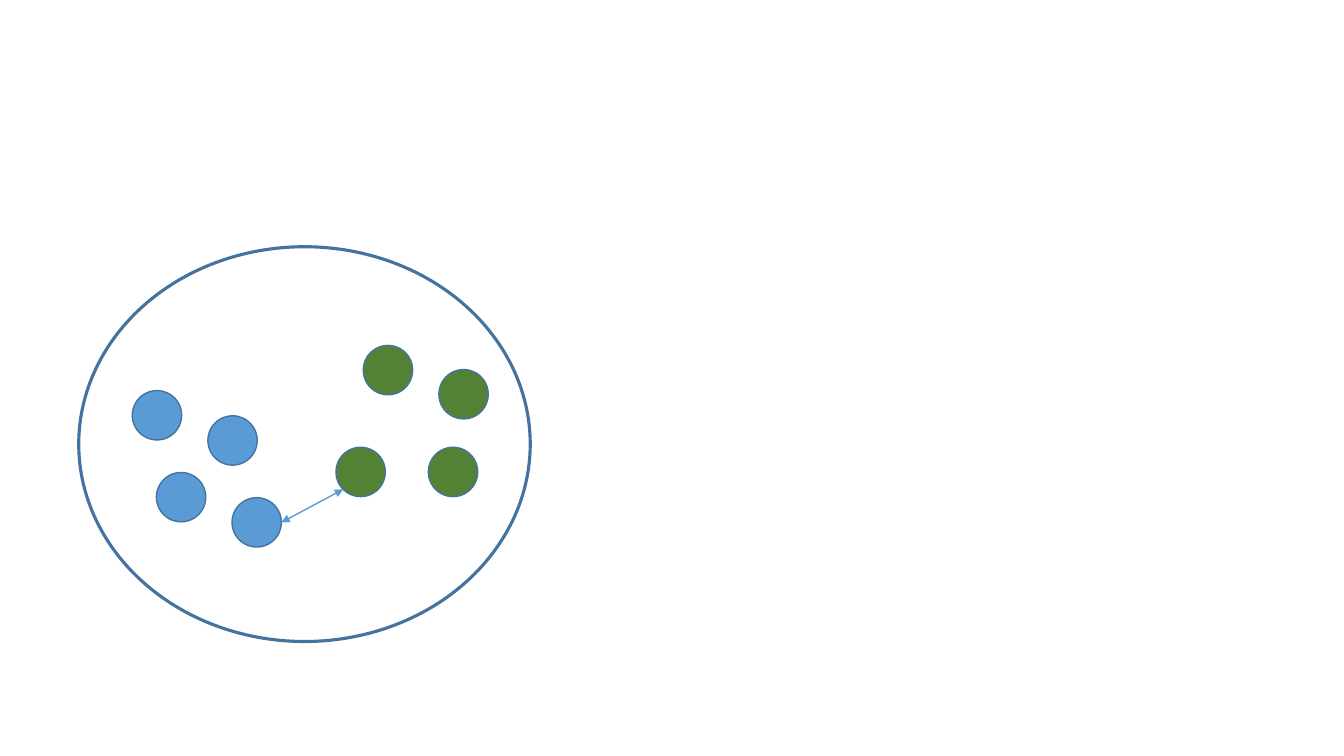
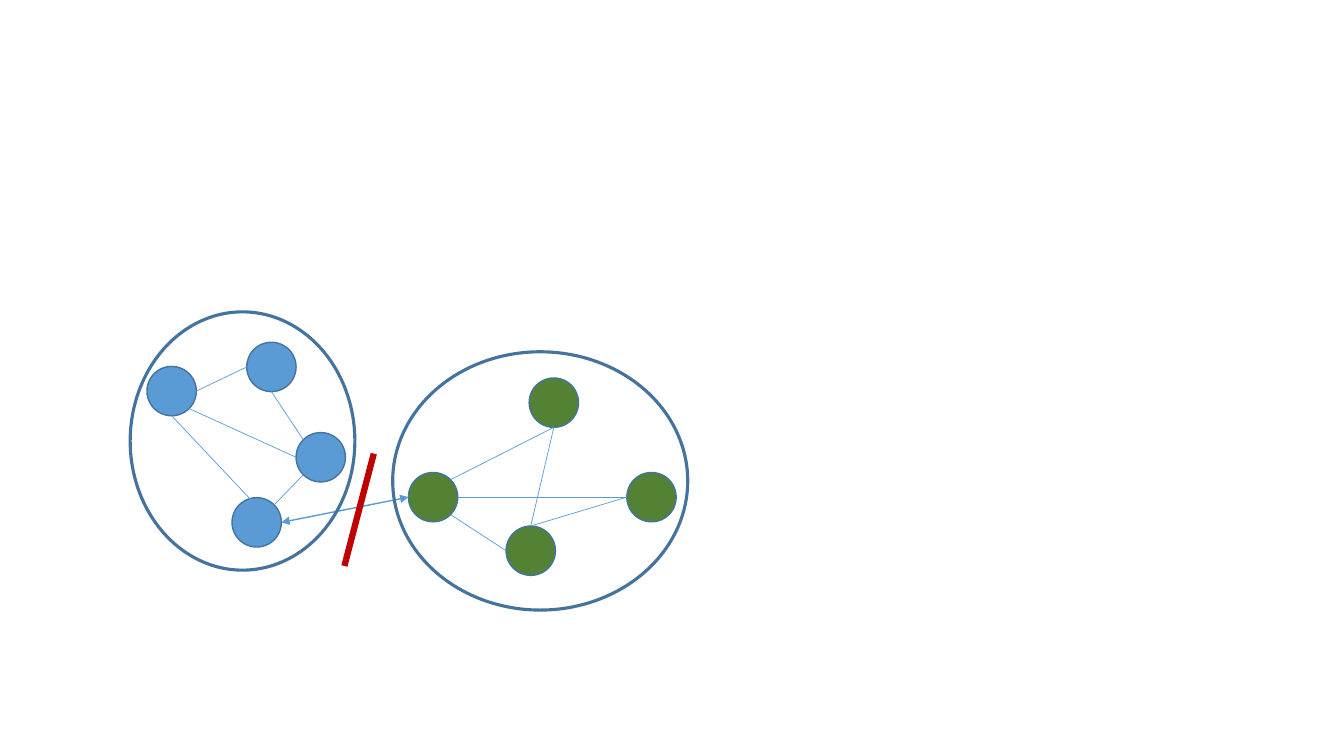
from dataclasses import dataclass
from math import cos, pi, sin

from lxml import etree
from pptx import Presentation
from pptx.dml.color import RGBColor
from pptx.enum.shapes import MSO_CONNECTOR, MSO_SHAPE
from pptx.oxml.ns import qn
from pptx.util import Pt

OVAL = MSO_SHAPE.OVAL
STRAIGHT = MSO_CONNECTOR.STRAIGHT
PX = 9525
SLIDE_W, SLIDE_H = 1280, 720
NODE = 47
BLANK = 6

SITES = ("top", "top left", "left", "bottom left",
         "bottom", "bottom right", "right", "top right")


@dataclass(frozen=True)
class Theme:
    blue: str = "5B9BD5"
    green: str = "548235"
    outline: str = "43739E"
    red: str = "C00000"
    thin: float = 0.5
    normal: float = 1
    ring: float = 2.25
    bar: float = 4.5


THEME = Theme()

SLIDES = [
    {
        "blue": [(126, 372), (198, 396), (149, 450), (221, 474)],
        "green": [(346, 329), (418, 352), (320, 426), (408, 426)],
        "arrow": (("blue", 3, "right"), ("green", 2, "bottom left")),
        "links": [],
        "bars": [],
        "rings": [(75, 235, 430, 376)],
    },
    {
        "blue": [(140, 349), (235, 326), (282, 412), (221, 474)],
        "green": [(597, 450), (504, 360), (389, 450), (482, 501)],
        "arrow": (("blue", 3, "right"), ("green", 2, "left")),
        "links": [
            (("blue", 0, "right"), ("blue", 1, "left")),
            (("blue", 1, "bottom"), ("blue", 2, "top left")),
            (("blue", 2, "bottom left"), ("blue", 3, "top right")),
            (("blue", 0, "bottom"), (255, 493)),
            (("blue", 0, "bottom right"), ("blue", 2, "left")),
            (("green", 1, "bottom"), ("green", 3, "top")),
            (("green", 2, "top right"), ("green", 1, "bottom")),
            (("green", 3, "top"), ("green", 0, "left")),
            (("green", 2, "right"), ("green", 0, "left")),
            (("green", 2, "bottom right"), ("green", 3, "left")),
        ],
        "bars": [((356, 432), (328, 539))],
        "rings": [(124, 297, 214, 246), (374, 335, 281, 246)],
    },
]


def set_line(line, color, width):
    line.color.rgb = RGBColor.from_string(color)
    line.width = Pt(width)


def add_oval(s, box, width, fill=None):
    sp = s.shapes.add_shape(OVAL, *(v * PX for v in box))
    sp.shadow.inherit = False
    if fill:
        sp.fill.solid()
        sp.fill.fore_color.rgb = RGBColor.from_string(fill)
    else:
        sp.fill.background()
    set_line(sp.line, THEME.outline, width)
    return sp


def locate(end, nodes):
    if len(end) == 2:
        return end[0] * PX, end[1] * PX
    group, index, site = end
    sp = nodes[group][index]
    angle = SITES.index(site) * pi / 4
    x = sp.left + sp.width / 2 * (1 - sin(angle))
    y = sp.top + sp.height / 2 * (1 - cos(angle))
    return round(x), round(y)


def add_line(s, ends, nodes, color, width, arrows=False):
    begin, finish = (locate(end, nodes) for end in ends)
    cxn = s.shapes.add_connector(STRAIGHT, *begin, *finish)
    set_line(cxn.line, color, width)
    sp_pr = cxn.element.find(qn("p:spPr"))
    if arrows:
        for tag in ("a:headEnd", "a:tailEnd"):
            etree.SubElement(sp_pr.find(qn("a:ln")), qn(tag), type="triangle")
    etree.SubElement(sp_pr, qn("a:effectLst"))
    props = next(cxn.element.iter(qn("p:cNvCxnSpPr")))
    for tag, end in zip(("a:stCxn", "a:endCxn"), ends):
        if len(end) == 3:
            group, index, site = end
            etree.SubElement(props, qn(tag), id=str(nodes[group][index].shape_id),
                             idx=str(SITES.index(site)))


def build_slide(prs, content):
    s = prs.slides.add_slide(prs.slide_layouts[BLANK])
    colors = {"blue": THEME.blue, "green": THEME.green}
    nodes = {
        group: [add_oval(s, (x, y, NODE, NODE), THEME.normal, color)
                for x, y in content[group]]
        for group, color in colors.items()
    }
    add_line(s, content["arrow"], nodes, THEME.blue, THEME.normal, arrows=True)
    for ends in content["links"]:
        add_line(s, ends, nodes, THEME.blue, THEME.thin)
    for ends in content["bars"]:
        add_line(s, ends, nodes, THEME.red, THEME.bar)
    for box in content["rings"]:
        add_oval(s, box, THEME.ring)


def main():
    prs = Presentation()
    prs.slide_width, prs.slide_height = SLIDE_W * PX, SLIDE_H * PX
    for content in SLIDES:
        build_slide(prs, content)
    prs.save("out.pptx")


if __name__ == "__main__":
    main()
